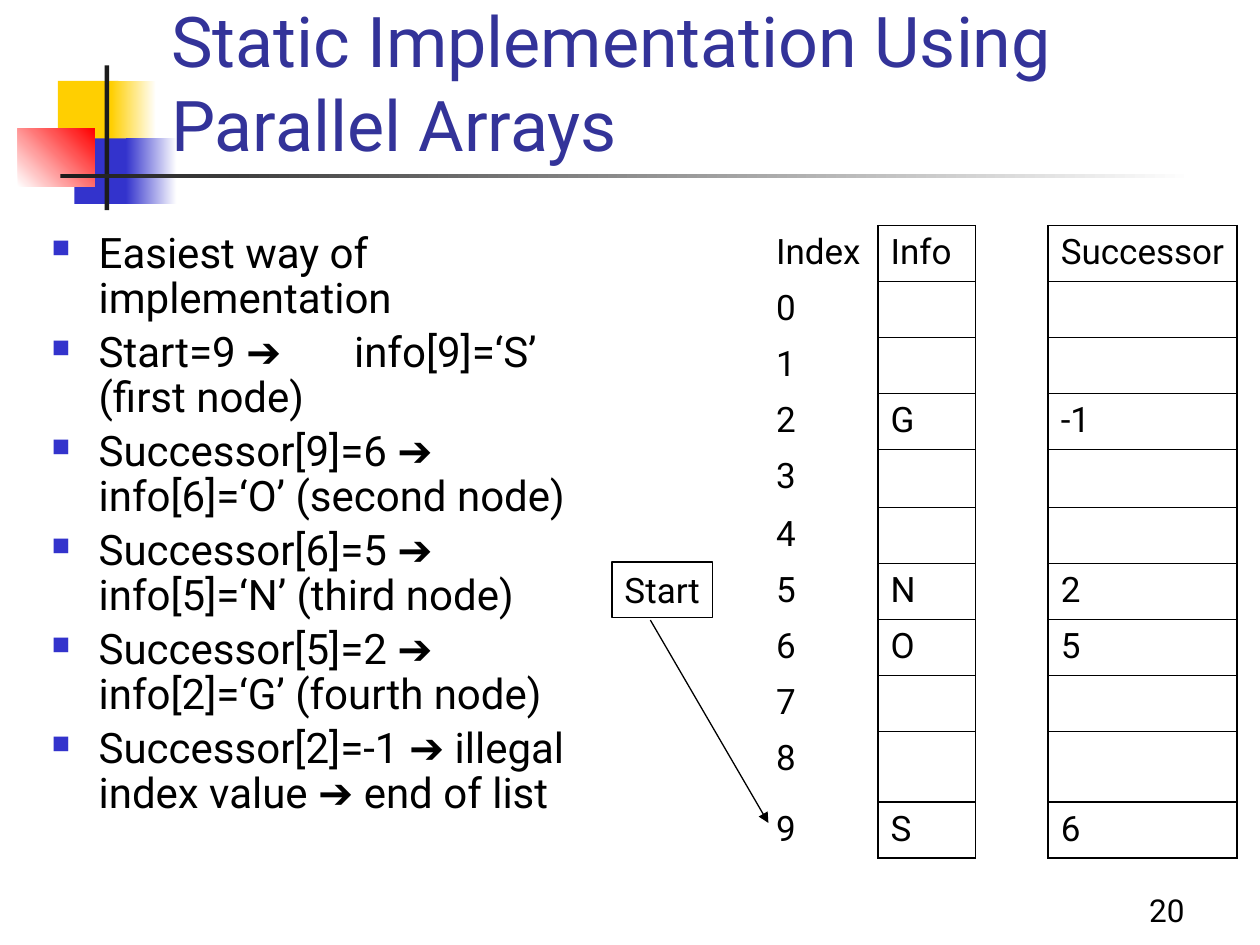
from lxml import etree
from pptx import Presentation
from pptx.dml.color import RGBColor
from pptx.enum.shapes import MSO_CONNECTOR, MSO_SHAPE
from pptx.enum.text import MSO_ANCHOR, PP_ALIGN
from pptx.oxml.ns import qn
from pptx.util import Cm, Pt

FONT = "Roboto"
COLORS = {
    "yellow": "FFCF01",
    "blue": "3333CC",
    "red": "FF0000",
    "white": "FFFFFF",
    "dark": "1C1C1C",
    "title": "333399",
    "black": "000000",
}
BULLETS = [
    "Easiest way of implementation",
    "Start=9 ➔\tinfo[9]=‘S’ (first node)",
    "Successor[9]=6 ➔ info[6]=‘O’ (second node)",
    "Successor[6]=5 ➔ info[5]=‘N’ (third node)",
    "Successor[5]=2 ➔ info[2]=‘G’ (fourth node)",
    "Successor[2]=-1 ➔ illegal index value ➔ end of list",
]
NODES = {2: ("G", "-1"), 5: ("N", "2"), 6: ("O", "5"), 9: ("S", "6")}
COL_WIDTHS = [2.31, 1.96, 1.47, 3.81]
ROW_HEIGHT = 1.13
TALL_ROWS = {4: 1.16, 9: 1.43}
ARRAY_COLS = (1, 3)


def rgb(name):
    return RGBColor.from_string(COLORS[name])


def write(tf, *texts, size=20, color="black", align=PP_ALIGN.LEFT,
          anchor=MSO_ANCHOR.TOP, wrap=True):
    tf.word_wrap = wrap
    tf.vertical_anchor = anchor
    for i, text in enumerate(texts):
        p = tf.add_paragraph() if i else tf.paragraphs[0]
        p.alignment = align
        r = p.add_run()
        r.text = text
        r.font.name, r.font.size = FONT, Pt(size)
        r.font.color.rgb = rgb(color)


def add_text(s, box, *texts, **fmt):
    tf = s.shapes.add_textbox(*map(Cm, box)).text_frame
    write(tf, *texts, **fmt)
    return tf


def add_rect(s, box, start, end=None, angle=0):
    sp = s.shapes.add_shape(MSO_SHAPE.RECTANGLE, *map(Cm, box))
    sp.shadow.inherit = False
    sp.line.fill.background()
    if end is None:
        sp.fill.solid()
        sp.fill.fore_color.rgb = rgb(start)
        return
    sp.fill.gradient()
    sp.fill.gradient_angle = angle
    for stop, name in zip(sp.fill.gradient_stops, (start, end)):
        stop.color.rgb = rgb(name)


def add_bullets(s, box, texts):
    tf = add_text(s, box, *texts, size=24)
    for p in tf.paragraphs:
        p.line_spacing = 0.9
        p.space_before = Pt(4.8)
        pPr = p._p.get_or_add_pPr()
        pPr.set("marL", str(Cm(0.95)))
        pPr.set("indent", str(-Cm(0.95)))
        clr = etree.SubElement(pPr, qn("a:buClr"))
        etree.SubElement(clr, qn("a:srgbClr"), val=COLORS["blue"])
        etree.SubElement(pPr, qn("a:buSzPct"), val="60000")
        etree.SubElement(pPr, qn("a:buChar"), char="■")
        if "\t" in p.text:
            tabs = etree.SubElement(pPr, qn("a:tabLst"))
            etree.SubElement(tabs, qn("a:tab"), pos=str(Cm(6.1)), algn="l")


def set_borders(cell, sides):
    tcPr = cell._tc.get_or_add_tcPr()
    for i, side in enumerate("LRTB"):
        ln = etree.Element(qn("a:ln" + side), w=str(Pt(1)))
        if side in sides:
            fill = etree.SubElement(ln, qn("a:solidFill"))
            etree.SubElement(fill, qn("a:srgbClr"), val=COLORS["black"])
        else:
            etree.SubElement(ln, qn("a:noFill"))
        tcPr.insert(i, ln)


def add_arrays(s, left, top):
    rows = [("Index", "Info", "", "Successor")]
    for i in range(10):
        info, successor = NODES.get(i, ("", ""))
        rows.append((str(i), info, "", successor))
    heights = [TALL_ROWS.get(i, ROW_HEIGHT) for i in range(len(rows))]
    table = s.shapes.add_table(len(rows), len(COL_WIDTHS), Cm(left), Cm(top),
                               Cm(sum(COL_WIDTHS)), Cm(sum(heights))).table
    table.first_row = table.horz_banding = False
    for col, width in zip(table.columns, COL_WIDTHS):
        col.width = Cm(width)
    for i, (values, height) in enumerate(zip(rows, heights)):
        table.rows[i].height = Cm(height)
        for j, value in enumerate(values):
            cell = table.cell(i, j)
            cell.fill.background()
            if value:
                write(cell.text_frame, value)
            sides = "LRTB" if j in ARRAY_COLS else "R" if j == 0 else "LR"
            set_borders(cell, sides)


def add_box(s, box, text):
    sp = s.shapes.add_shape(MSO_SHAPE.RECTANGLE, *map(Cm, box))
    sp.shadow.inherit = False
    sp.fill.background()
    sp.line.color.rgb = rgb("black")
    sp.line.width = Pt(0.75)
    write(sp.text_frame, text, wrap=False)


def add_arrow(s, *ends):
    line = s.shapes.add_connector(MSO_CONNECTOR.STRAIGHT, *map(Cm, ends))
    line.line.color.rgb = rgb("black")
    line.line.width = Pt(0.75)
    etree.SubElement(line.line._get_or_add_ln(), qn("a:tailEnd"), type="triangle")
    etree.SubElement(line._element.spPr, qn("a:effectLst"))


def main():
    prs = Presentation()
    prs.slide_width, prs.slide_height = Cm(25.4), Cm(19.05)
    s = prs.slides.add_slide(prs.slide_layouts[6])

    add_rect(s, (1.17, 1.63, 1.22, 1.32), "yellow")
    add_rect(s, (2.24, 1.63, 0.91, 1.32), "yellow", "white")
    add_rect(s, (1.5, 2.79, 1.17, 1.32), "blue")
    add_rect(s, (2.54, 2.79, 1.02, 1.32), "blue", "white")
    add_rect(s, (0.36, 2.59, 1.55, 1.17), "white", "red", angle=45)
    add_rect(s, (2.11, 1.32, 0.09, 2.92), "dark")
    add_rect(s, (1.22, 3.51, 22.86, 0.09), "dark", "white")

    add_text(s, (18.85, 17.58, 5.28, 1.27), "20", size=18,
             align=PP_ALIGN.RIGHT, anchor=MSO_ANCHOR.BOTTOM)
    add_text(s, (3.2, 0.28, 21.64, 3.18),
             "Static Implementation Using Parallel Arrays",
             size=40, color="title", anchor=MSO_ANCHOR.BOTTOM)
    add_bullets(s, (0.79, 4.55, 11.4, 12.47), BULLETS)
    add_arrays(s, 15.39, 4.55)
    add_box(s, (12.34, 11.33, 2.03, 1.12), "Start")
    add_arrow(s, 13.11, 12.5, 15.49, 16.59)

    prs.save("out.pptx")


if __name__ == "__main__":
    main()
